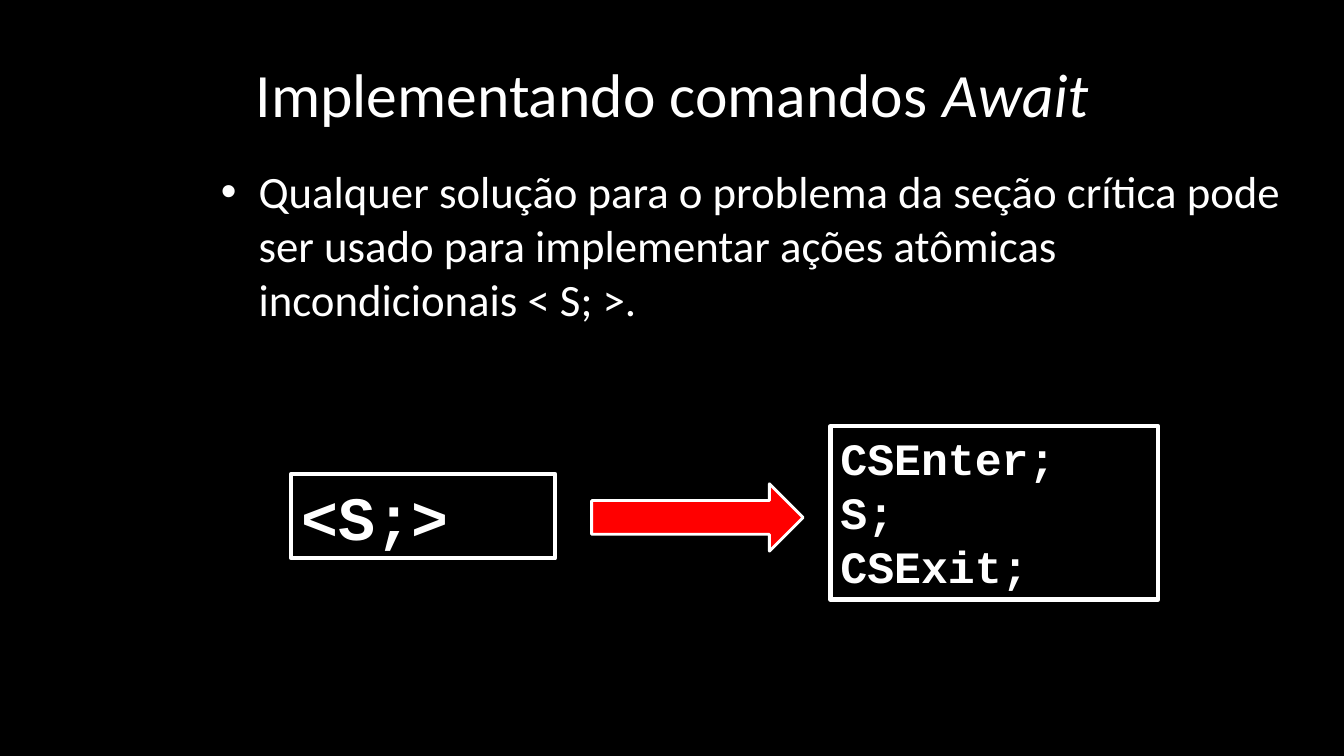
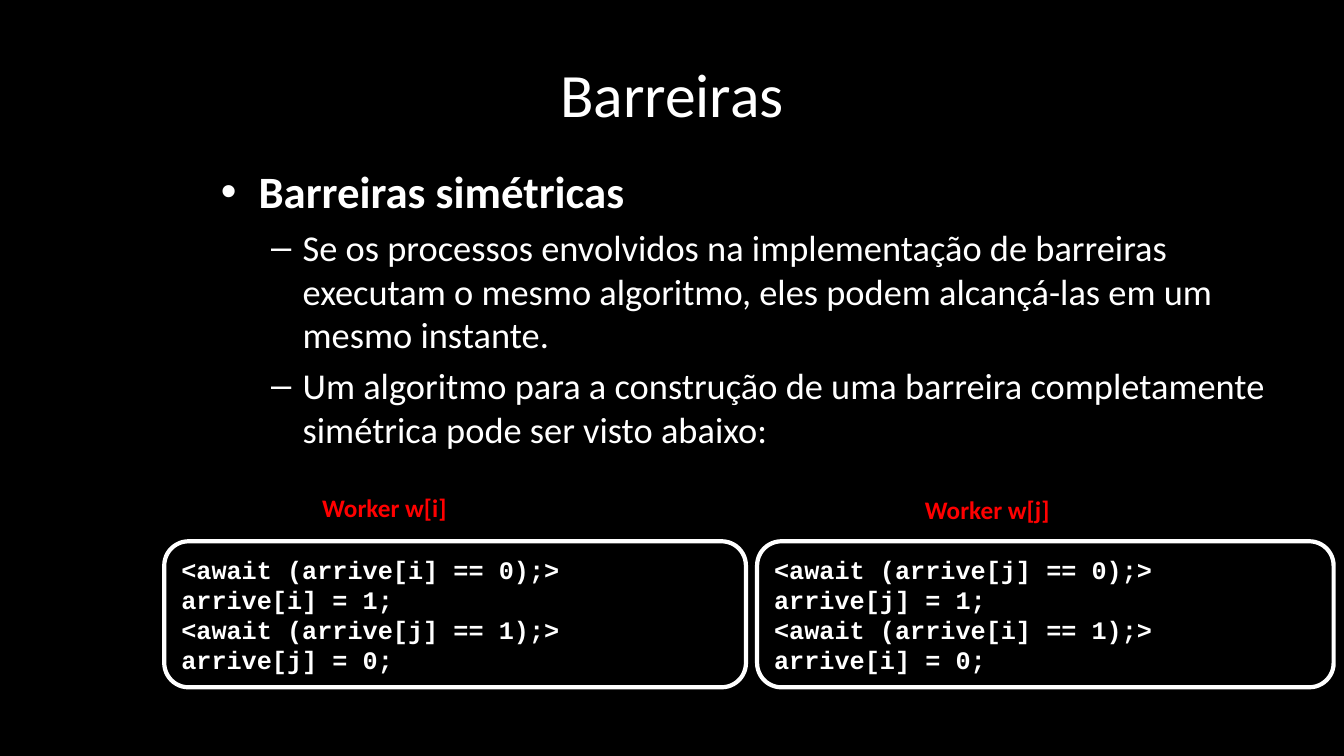
from pptx import Presentation
from pptx.dml.color import RGBColor
from pptx.enum.shapes import MSO_SHAPE
from pptx.enum.text import MSO_ANCHOR, MSO_AUTO_SIZE, PP_ALIGN
from pptx.util import Cm, Pt

BLACK, WHITE, RED = "000000", "FFFFFF", "FF0000"
TEXT_FONT, CODE_FONT = "Calibri", "Courier New"


def color(hex_string):
    return RGBColor.from_string(hex_string)


class Deck:
    """Holds the shared style and the slide being built."""

    def __init__(self):
        self.presentation = Presentation()
        self.presentation.slide_width = Cm(33.87)
        self.presentation.slide_height = Cm(19.05)
        self.slide = None

    def new_slide(self, *title_parts):
        """Add a black slide; title parts are (text, italic) pairs."""
        self.slide = self.presentation.slides.add_slide(
            self.presentation.slide_layouts[1])
        background = self.slide.background.fill
        background.solid()
        background.fore_color.rgb = color(BLACK)
        title = self.slide.shapes.title
        self.place(title, 1.7, 0.76, 30.48, 3.18)
        frame = self.prepare(title, MSO_ANCHOR.MIDDLE)
        paragraph = frame.paragraphs[0]
        paragraph.alignment = PP_ALIGN.CENTER
        for text, italic in title_parts:
            self.run(paragraph, text, 44, italic=italic)

    def place(self, shape, left, top, width, height):
        shape.left, shape.top = Cm(left), Cm(top)
        shape.width, shape.height = Cm(width), Cm(height)

    def prepare(self, shape, anchor=MSO_ANCHOR.TOP):
        frame = shape.text_frame
        frame.word_wrap = True
        frame.auto_size = MSO_AUTO_SIZE.NONE
        frame.vertical_anchor = anchor
        return frame

    def run(self, paragraph, text, size, font=TEXT_FONT, ink=WHITE,
            bold=False, italic=False):
        run = paragraph.add_run()
        run.text = text
        run.font.name = font
        run.font.size = Pt(size)
        run.font.bold = bold
        run.font.italic = italic
        run.font.color.rgb = color(ink)

    def paragraphs(self, frame, count):
        """Return the given number of paragraphs, starting with the first."""
        return [frame.paragraphs[0]] + [
            frame.add_paragraph() for _ in range(count - 1)]

    def bullets(self, height, items):
        """Fill the body; items are (level, text, bold)."""
        body = self.slide.placeholders[1]
        self.place(body, 5.31, 4.01, 27.76, height)
        frame = self.prepare(body)
        for paragraph, (level, text, bold) in zip(
                self.paragraphs(frame, len(items)), items):
            paragraph.level = level
            self.run(paragraph, text, 26 if level else 32, bold=bold)

    def shape(self, kind, position, fill, line_width):
        shape = self.slide.shapes.add_shape(
            kind, *[Cm(length) for length in position])
        shape.shadow.inherit = False
        shape.fill.solid()
        shape.fill.fore_color.rgb = color(fill)
        shape.line.color.rgb = color(WHITE)
        shape.line.width = Pt(line_width)
        return shape

    def code_box(self, position, lines, size, kind=MSO_SHAPE.RECTANGLE,
                 anchor=MSO_ANCHOR.TOP):
        box = self.shape(kind, position, BLACK, 3)
        frame = self.prepare(box, anchor)
        for paragraph, line in zip(self.paragraphs(frame, len(lines)), lines):
            paragraph.alignment = PP_ALIGN.LEFT
            self.run(paragraph, line, size, CODE_FONT, bold=True)

    def arrow(self, position):
        self.shape(MSO_SHAPE.RIGHT_ARROW, position, RED, 2)

    def label(self, position, text):
        box = self.slide.shapes.add_textbox(
            *[Cm(length) for length in position])
        frame = self.prepare(box)
        self.run(frame.paragraphs[0], text, 18, ink=RED, bold=True)


def main():
    deck = Deck()

    # Await commands
    deck.new_slide(("Implementando comandos ", False), ("Await", True))
    deck.bullets(6.3, [
        (0, "Qualquer solução para o problema da seção crítica pode ser usado "
            "para implementar ações atômicas incondicionais < S; >.", False),
    ])
    deck.code_box((7.34, 11.94, 6.65, 2.13), ["<S;>"], 44)
    deck.arrow((14.91, 12.19, 5.33, 1.7))
    deck.code_box((20.93, 10.74, 8.26, 4.37),
                  ["CSEnter;", "S;", "CSExit;"], 32)

    # Symmetric barriers
    deck.new_slide(("Barreiras", False))
    deck.bullets(7.9, [
        (0, "Barreiras simétricas", True),
        (1, "Se os processos envolvidos na implementação de barreiras executam "
            "o mesmo algoritmo, eles podem alcançá-las em um mesmo instante.",
         False),
        (1, "Um algoritmo para a construção de uma barreira completamente "
            "simétrica pode ser visto abaixo:", False),
    ])

    # Each worker runs the same code with the indices swapped
    workers = [
        ("i", "j", (4.14, 13.64, 14.66, 3.68), (7.87, 12.29, 6.12, 1.02)),
        ("j", "i", (19.08, 13.64, 14.53, 3.68), (23.06, 12.32, 6.12, 1.02)),
    ]
    for own, other, box_position, label_position in workers:
        deck.code_box(box_position, [
            f"<await (arrive[{own}] == 0);>",
            f"arrive[{own}] = 1;",
            f"<await (arrive[{other}] == 1);>",
            f"arrive[{other}] = 0;",
        ], 18, MSO_SHAPE.ROUNDED_RECTANGLE, MSO_ANCHOR.MIDDLE)
        deck.label(label_position, f"Worker w[{own}]")

    deck.presentation.save("out.pptx")


if __name__ == "__main__":
    main()
